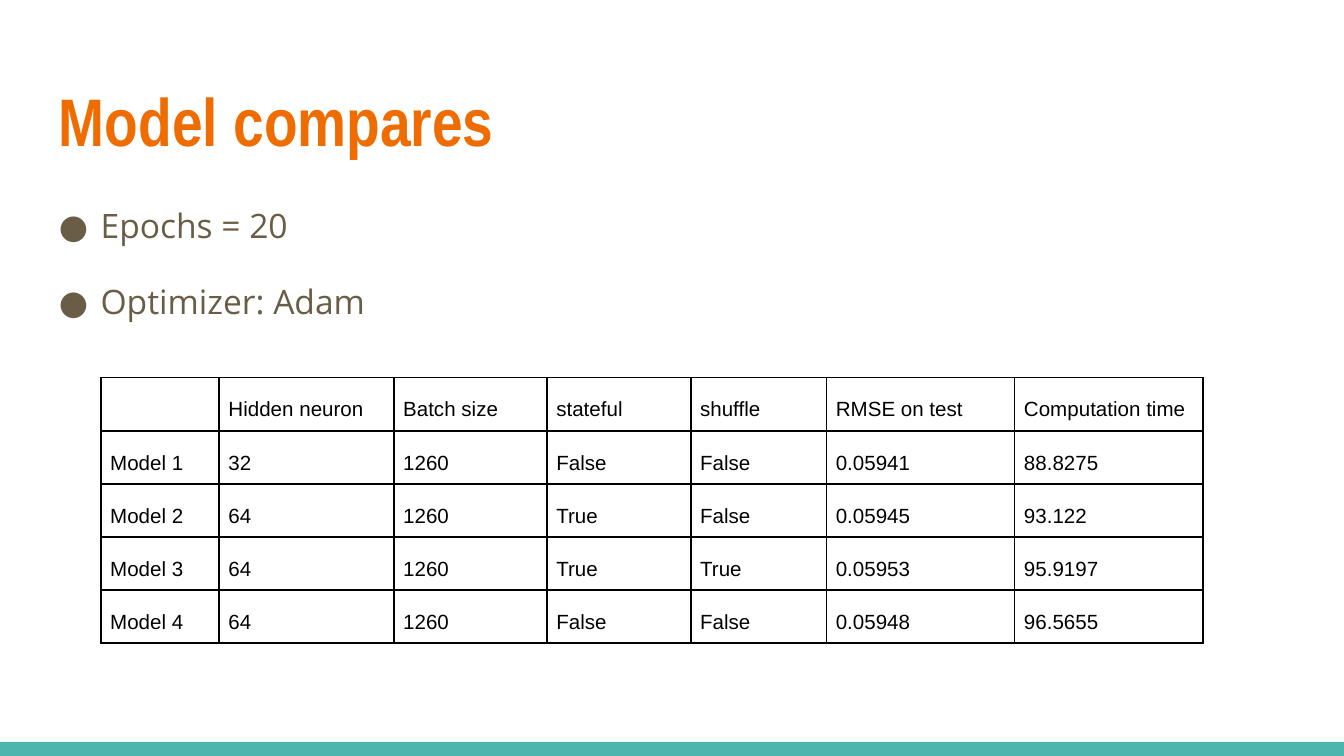
from lxml import etree
from pptx import Presentation, util as u
from pptx.dml.color import RGBColor
from pptx.enum import shapes
from pptx.oxml.ns import qn

COLORS = {"title": "EF6C00", "body": "695D46", "bar": "4DB6AC", "table": "000000"}
SLIDE_W = 10
SLIDE_H = SLIDE_W * 9 / 16

SETTINGS = ["Epochs = 20", "Optimizer: Adam"]
COLUMN_WIDTHS = [0.88, 1.3, 1.14, 1.07, 1.01, 1.4, 1.4]
RESULTS = [
    ["", "Hidden neuron", "Batch size", "stateful", "shuffle", "RMSE on test", "Computation time"],
    ["Model 1", "32", "1260", "False", "False", "0.05941", "88.8275"],
    ["Model 2", "64", "1260", "True", "False", "0.05945", "93.122"],
    ["Model 3", "64", "1260", "True", "True", "0.05953", "95.9197"],
    ["Model 4", "64", "1260", "False", "False", "0.05948", "96.5655"],
]


def set_font(paragraph, name, size, color, bold=False):
    font = paragraph.font
    font.name, font.size, font.bold = name, u.Pt(size), bold
    font.color.rgb = RGBColor.from_string(COLORS[color])


def add_text_frame(slide, left, top, width, height):
    box = slide.shapes.add_textbox(*map(u.Inches, (left, top, width, height)))
    frame = box.text_frame
    frame.word_wrap = True
    frame.margin_left = frame.margin_right = u.Inches(0.1)
    frame.margin_top = frame.margin_bottom = u.Inches(0.1)
    return frame


def add_bullet(paragraph, indent, font_name, color):
    props = paragraph._p.get_or_add_pPr()
    props.set("marL", str(u.Inches(indent)))
    props.set("indent", str(-u.Inches(indent)))
    bullet_color = etree.Element(qn("a:buClr"))
    etree.SubElement(bullet_color, qn("a:srgbClr"), val=COLORS[color])
    bullet_font = etree.Element(qn("a:buFont"), typeface=font_name)
    bullet = etree.Element(qn("a:buChar"), char="●")
    # Bullets come before the default run properties in the schema
    default_run = props.find(qn("a:defRPr"))
    for part in (bullet_color, bullet_font, bullet):
        default_run.addprevious(part)


def add_borders(cell, color, width):
    props = cell._tc.get_or_add_tcPr()
    for position, side in enumerate(("lnL", "lnR", "lnT", "lnB")):
        line = etree.Element(qn(f"a:{side}"), w=str(u.Pt(width)))
        fill = etree.SubElement(line, qn("a:solidFill"))
        etree.SubElement(fill, qn("a:srgbClr"), val=COLORS[color])
        props.insert(position, line)


def add_bottom_bar(slide, left, top, width, height):
    bar = slide.shapes.add_shape(
        shapes.MSO_SHAPE.RECTANGLE, *map(u.Inches, (left, top, width, height)))
    bar.shadow.inherit = False
    bar.fill.solid()
    bar.fill.fore_color.rgb = RGBColor.from_string(COLORS["bar"])
    bar.line.fill.background()


def add_title(slide, left, top, width, height):
    title = add_text_frame(slide, left, top, width, height).paragraphs[0]
    title.text = "Model compares"
    set_font(title, "Arial Narrow", 36, "title", bold=True)


def add_settings(slide, left, top, width, height):
    frame = add_text_frame(slide, left, top, width, height)
    frame.text = "\n".join(SETTINGS)
    for setting in frame.paragraphs:
        setting.line_spacing = 1.15
        setting.space_after = u.Pt(16)
        set_font(setting, "Open Sans", 18, "body")
        add_bullet(setting, 0.31, "Open Sans", "body")


def add_results(slide, left, top, row_height):
    box = (left, top, sum(COLUMN_WIDTHS), row_height * len(RESULTS))
    table = slide.shapes.add_table(
        len(RESULTS), len(COLUMN_WIDTHS), *map(u.Inches, box)).table
    table.first_row = table.horz_banding = False
    for column, width in zip(table.columns, COLUMN_WIDTHS):
        column.width = u.Inches(width)
    for row, values in zip(table.rows, RESULTS):
        for cell, value in zip(row.cells, values):
            cell.margin_left = cell.margin_right = cell.margin_top = u.Inches(0.07)
            cell.margin_bottom = u.Inches(0.05)
            cell.fill.background()
            add_borders(cell, "table", 1)
            entry = cell.text_frame.paragraphs[0]
            entry.line_spacing = 1.5
            set_font(entry, "Arial", 11, "table")
            if value:
                entry.text = value
            else:  # keeps the empty corner cell as low as its row
                etree.SubElement(entry._p, qn("a:endParaRPr"), sz="1100")


def main():
    deck = Presentation()
    deck.slide_width, deck.slide_height = u.Inches(SLIDE_W), u.Inches(SLIDE_H)
    slide = deck.slides.add_slide(deck.slide_layouts[6])
    add_bottom_bar(slide, 0, 5.52, SLIDE_W, SLIDE_H - 5.52)
    add_title(slide, 0.34, 0.49, 9.32, 0.77)
    add_settings(slide, 0.34, 1.38, 9.32, 3.61)
    add_results(slide, 0.75, 2.81, 0.39)
    deck.save("out.pptx")


if __name__ == "__main__":
    main()
